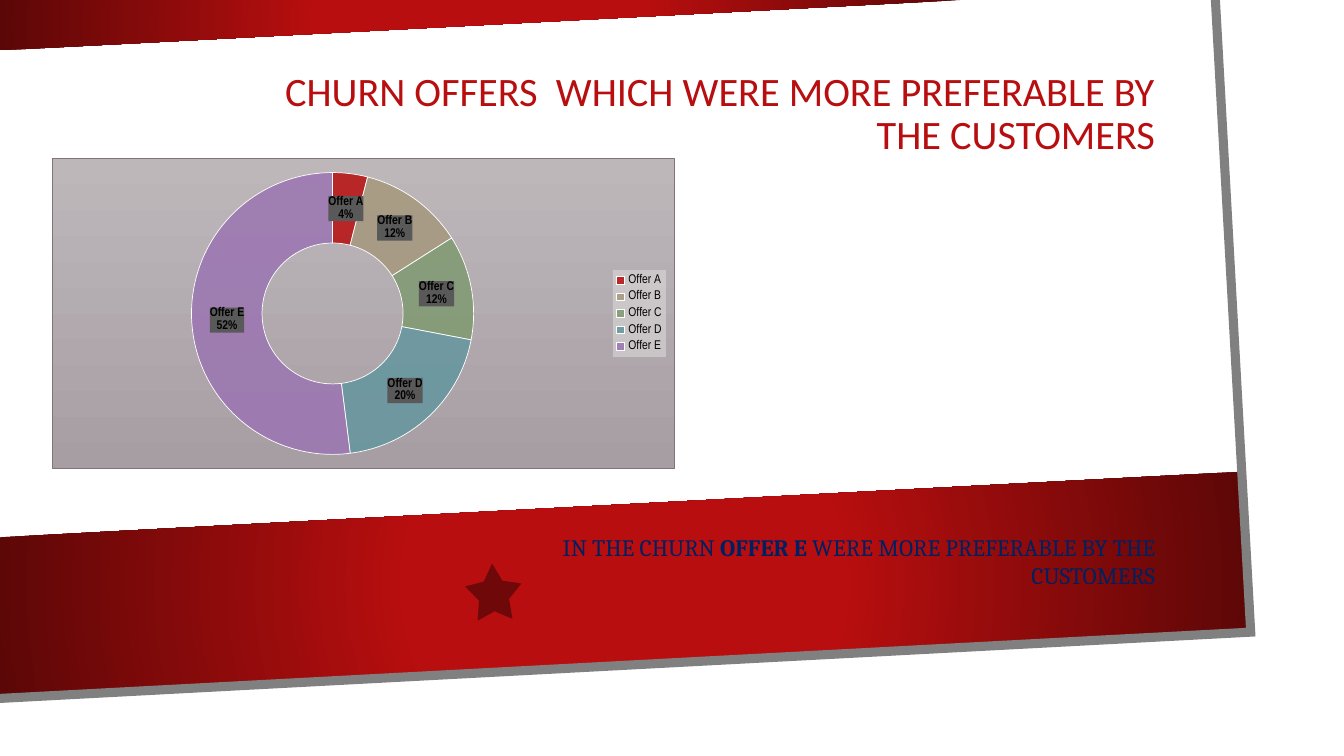
from dataclasses import dataclass
from typing import Any

from lxml.etree import SubElement as Sub
from pptx import Presentation
from pptx.chart.data import CategoryChartData as Data
from pptx.dml.color import RGBColor as Rgb
from pptx.dml.fill import FillFormat as Fill
from pptx.dml.line import LineFormat as Line
from pptx.enum.chart import XL_CHART_TYPE as Kind, XL_LEGEND_POSITION as Side
from pptx.enum.shapes import MSO_SHAPE as Preset
from pptx.enum.text import MSO_ANCHOR as Anchor, PP_ALIGN as Align
from pptx.oxml import parse_xml
from pptx.oxml.ns import nsdecls, qn
from pptx.util import Cm, Pt

WHITE = Rgb(0xFF, 0xFF, 0xFF)
BLACK = Rgb(0, 0, 0)
RED = Rgb(0xB8, 0x0E, 0x0F)
WINE = Rgb(0x5C, 0x07, 0x07)
GREY = Rgb(0x80, 0x80, 0x80)
NAVY = Rgb(0x00, 0x20, 0x60)
LABEL = Rgb(0x59, 0x59, 0x59)
PALE = Rgb(0xF2, 0xF2, 0xF2)
AREA_TOP = Rgb(0xBD, 0xB7, 0xBA)
AREA_END = Rgb(0xA7, 0x9E, 0xA3)
BORDER = Rgb(0x80, 0x73, 0x7A)


@dataclass
class Panel:
    points: list[tuple[float, float]]
    style: str


@dataclass
class Part:
    text: str
    bold: bool = False


@dataclass
class Block:
    box: tuple[float, float, float, float]
    lines: list[list[Part]]
    font: str
    size: float
    color: Rgb
    anchor: Any
    space: float = 1.0
    before: float = 0


@dataclass
class Offer:
    name: str
    share: int
    color: Rgb


PANELS = [
    Panel([(-0.05, 0), (31.39, 0), (32.41, 16.61), (0, 18.29)], "page"),
    Panel([(0, 13.54), (31.24, 11.89), (31.47, 15.85), (0, 17.53)], "band"),
    Panel([(0, 0), (24.23, 0), (0, 1.27)], "band"),
    Panel([(30.63, 0), (31.52, 15.93), (0, 17.6)], "frame"),
]
BLOCKS = [
    Block((4.62, 0.97, 24.74, 3.15),
          [[Part("CHURN OFFERS  WHICH WERE MORE PREFERABLE BY")],
           [Part(" THE CUSTOMERS")]],
          "Calibri", 28.8, RED, Anchor.BOTTOM, space=0.9),
    Block((8.89, 13.31, 20.47, 1.83),
          [[Part("IN THE CHURN "), Part("OFFER E", True),
            Part(" WERE MORE PREFERABLE BY THE")],
           [Part("CUSTOMERS")]],
          "Cambria", 16.8, NAVY, Anchor.TOP, before=10),
]
OFFERS = [
    Offer("Offer A", 4, RED),
    Offer("Offer B", 12, Rgb(0xA6, 0x98, 0x7D)),
    Offer("Offer C", 12, Rgb(0x7F, 0x9A, 0x71)),
    Offer("Offer D", 20, Rgb(0x64, 0x96, 0x9F)),
    Offer("Offer E", 52, Rgb(0x9B, 0x75, 0xB2)),
]


def paint(fill: Fill, color: Rgb, alpha: int = 100) -> None:
    fill.solid()
    fill.fore_color.rgb = color
    if alpha < 100:
        tint = fill._xPr.find(qn("a:solidFill"))[0]
        Sub(tint, qn("a:alpha"), val=str(alpha * 1000))


def blend(fill: Fill, stops: list[tuple[float, Rgb]]) -> None:
    fill.gradient()
    fill.gradient_angle = 270
    for stop, (place, color) in zip(fill.gradient_stops, stops):
        stop.position = place
        stop.color.rgb = color


def glow(fill: Fill) -> None:
    """Red in the middle, dark towards the corners."""
    blend(fill, [(0.34, RED), (1, WINE)])
    grad = fill._xPr.find(qn("a:gradFill"))
    grad.remove(grad.find(qn("a:lin")))
    ring = Sub(grad, qn("a:path"), path="circle")
    Sub(ring, qn("a:fillToRect"), l="50000", t="50000", r="50000", b="50000")


def draw_panel(slide: Any, panel: Panel) -> None:
    spots = [(Cm(x), Cm(y)) for x, y in panel.points]
    pen = slide.shapes.build_freeform(*spots[0])
    pen.add_line_segments(spots[1:], close=panel.style != "frame")
    shape = pen.convert_to_shape()
    shape.shadow.inherit = False
    if panel.style == "frame":
        shape.fill.background()
        shape.line.color.rgb = GREY
        shape.line.width = Pt(6.5)
        Sub(shape.line._ln, qn("a:miter"), lim="800000")
        return
    shape.line.fill.background()
    if panel.style == "band":
        glow(shape.fill)
    else:
        paint(shape.fill, WHITE)


def draw_star(slide: Any) -> None:
    star = slide.shapes.add_shape(
        Preset.STAR_5_POINT, Cm(11.73), Cm(14.2), Cm(1.42), Cm(1.42))
    star.adjustments[0] = 0.267
    star.rotation = 357
    star.shadow.inherit = False
    star.line.fill.background()
    paint(star.fill, BLACK, 40)


def draw_block(slide: Any, block: Block) -> None:
    frame = slide.shapes.add_textbox(*map(Cm, block.box)).text_frame
    frame.word_wrap = True
    frame.vertical_anchor = block.anchor
    para = frame.paragraphs[0]
    para.alignment = Align.RIGHT
    para.line_spacing = block.space
    para.space_before = Pt(block.before)
    for row, parts in enumerate(block.lines):
        if row:
            para.add_line_break()
        for part in parts:
            run = para.add_run()
            run.text = part.text
            run.font.bold = part.bold
            style(run.font, block.size, block.font, block.color)


def style(font: Any, size: float, name: str = "Arial Narrow",
          color: Rgb = BLACK) -> None:
    font.size = Pt(size)
    font.name = name
    font.color.rgb = color


def back(owner: Any) -> Any:
    """Add shape properties ahead of the text properties of a chart part."""
    props = parse_xml(f"<c:spPr {nsdecls('c', 'a')}/>")
    owner.find(qn("c:txPr")).addprevious(props)
    return props


def draw_chart(slide: Any) -> None:
    data = Data()
    data.categories = [offer.name for offer in OFFERS]
    data.add_series("Series 1", [offer.share for offer in OFFERS])
    chart = slide.shapes.add_chart(
        Kind.DOUGHNUT, Cm(1.3), Cm(3.99), Cm(15.7), Cm(7.82), data).chart
    chart.has_title = False
    style(chart.font, 10)

    # Chart area
    area = back(chart._chartSpace)
    blend(Fill.from_fill_parent(area), [(0, AREA_TOP), (1, AREA_END)])
    edge = Line(area)
    edge.color.rgb = BORDER
    edge.width = Pt(0.5)

    # Legend
    chart.has_legend = True
    legend = chart.legend
    legend.position = Side.RIGHT
    legend.include_in_layout = False
    style(legend.font, 9)
    paint(Fill.from_fill_parent(back(legend._element)), PALE, 39)

    # Slices
    series = chart.plots[0].series[0]
    for index, offer in enumerate(OFFERS):
        form = series.points[index].format
        paint(form.fill, offer.color, 85)
        form.line.color.rgb = WHITE
        form.line.width = Pt(0.5)

    # Labels
    labels = series.data_labels
    labels.show_value = False
    labels.show_category_name = labels.show_percentage = True
    style(labels.font, 9)
    labels.font.bold = True
    node = labels._element
    paint(Fill.from_fill_parent(back(node)), LABEL)
    gap = parse_xml(f"<c:separator {nsdecls('c')}>\n</c:separator>")
    last = node.find(qn("c:showBubbleSize"))
    if last is None:
        last = node.find(qn("c:showPercent"))
    last.addnext(gap)


def main() -> None:
    deck = Presentation()
    deck.slide_width, deck.slide_height = Cm(33.87), Cm(19.05)
    slide = deck.slides.add_slide(deck.slide_layouts[6])
    for panel in PANELS:
        draw_panel(slide, panel)
    draw_star(slide)
    for block in BLOCKS:
        draw_block(slide, block)
    draw_chart(slide)
    deck.save("out.pptx")


if __name__ == "__main__":
    main()
